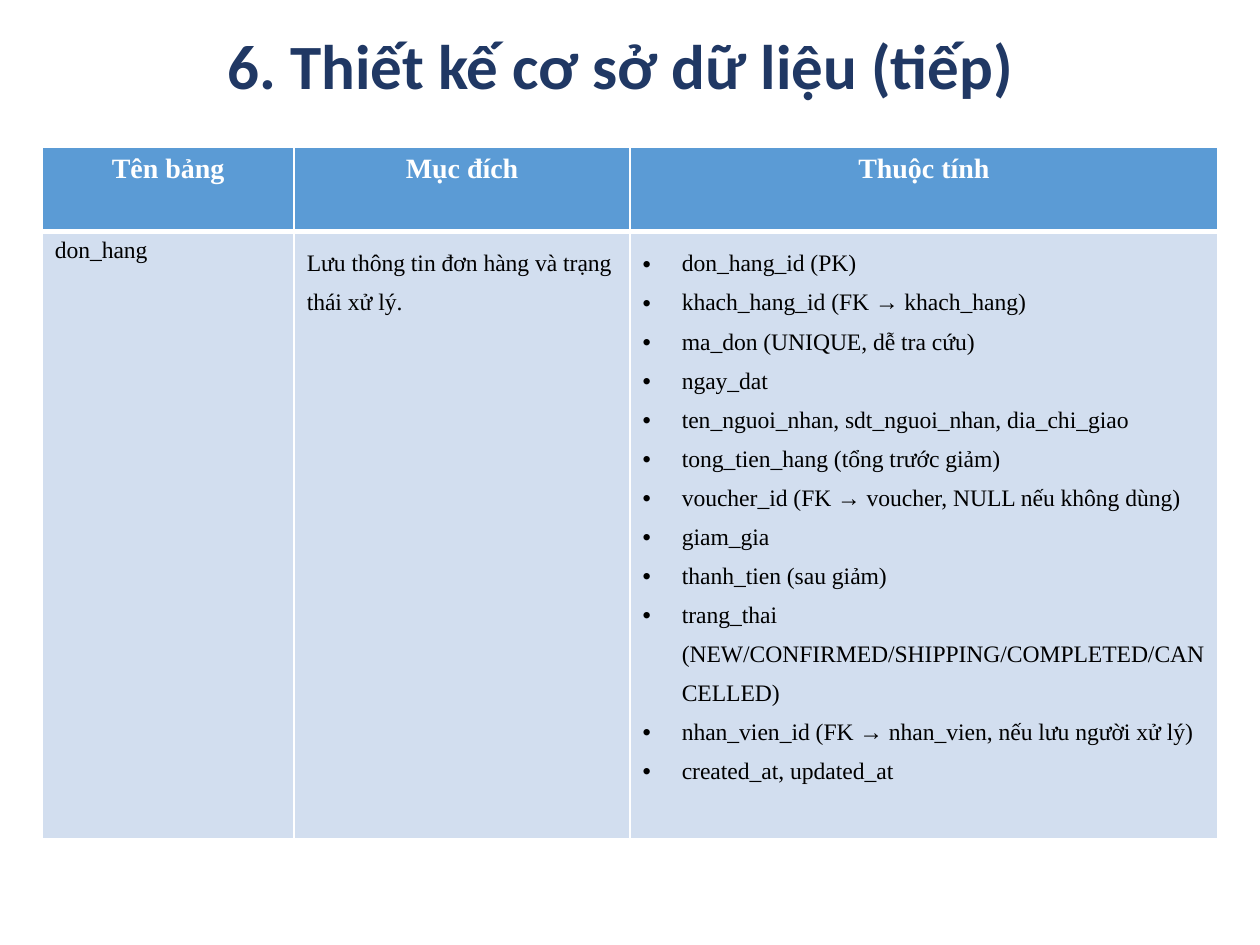
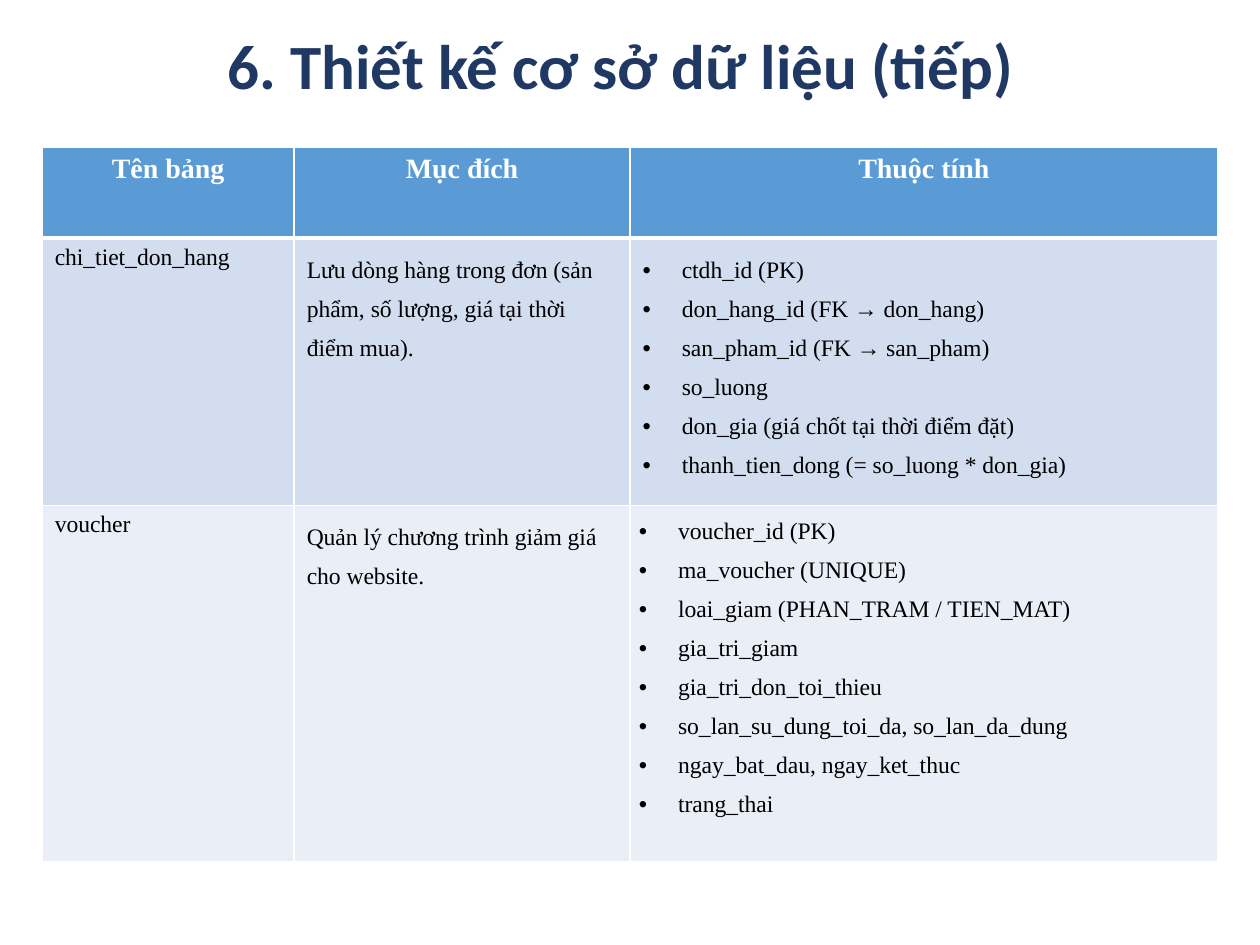
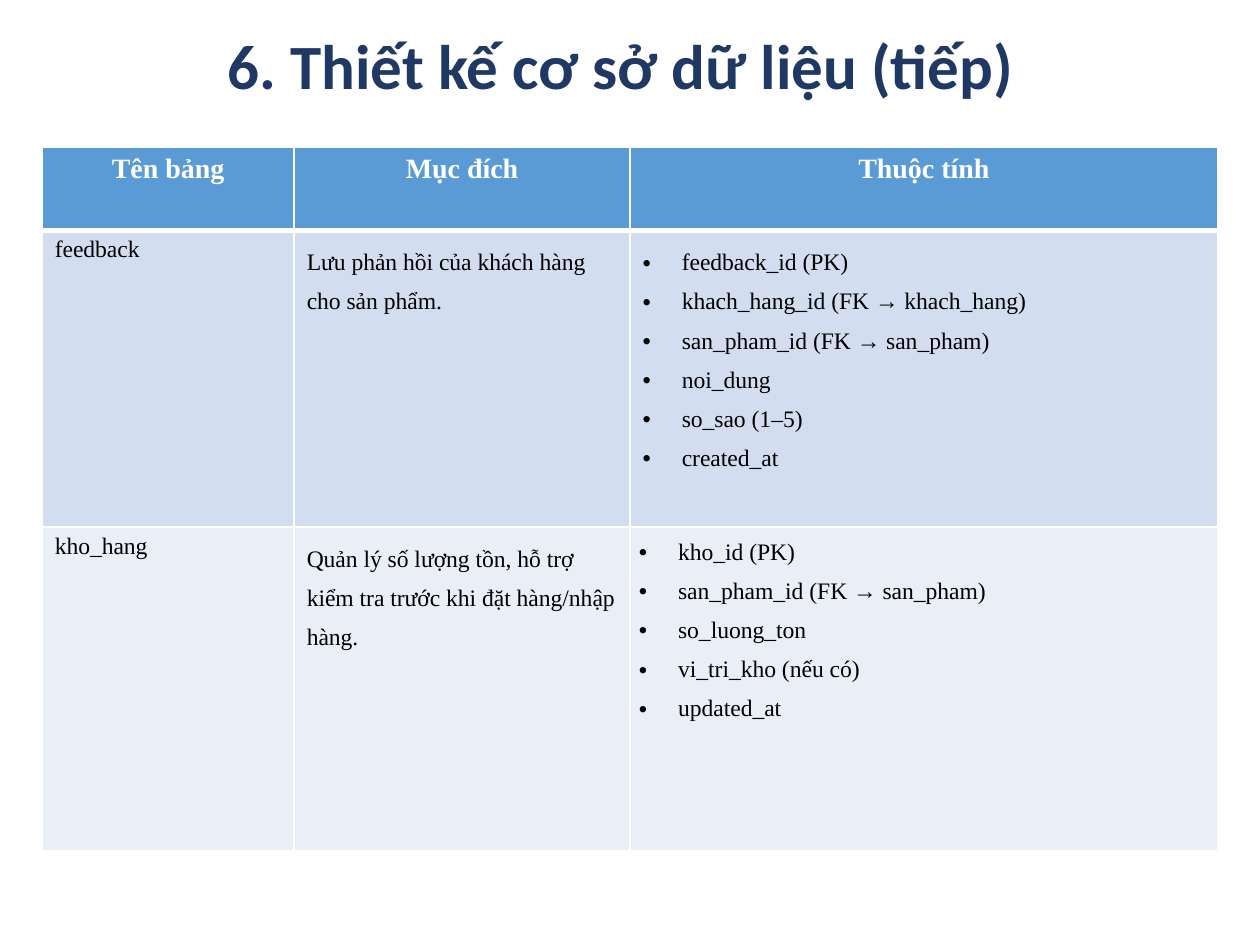
from lxml import etree
from pptx import Presentation
from pptx.dml.color import RGBColor
from pptx.enum import text as t
from pptx.oxml import ns
from pptx.util import Cm, Pt

NAVY = RGBColor(0x20, 0x38, 0x64)
BLUE = RGBColor(0x5B, 0x9B, 0xD5)
BANDS = [RGBColor(0xD2, 0xDE, 0xEF), RGBColor(0xEA, 0xEF, 0xF7)]
WHITE = RGBColor(0xFF, 0xFF, 0xFF)
BLACK = RGBColor(0, 0, 0)
SERIF = "Times New Roman"
TITLE = "6. Thiết kế cơ sở dữ liệu (tiếp)"
HEADS = ["Tên bảng", "Mục đích", "Thuộc tính"]
COLS = [5.08, 6.77, 11.85]

PAGES = [
    ([1.7, 11.48], [
        ("don_hang", "Lưu thông tin đơn hàng và trạng thái xử lý.", [
            "don_hang_id (PK)",
            "khach_hang_id (FK → khach_hang)",
            "ma_don (UNIQUE, dễ tra cứu)",
            "ngay_dat",
            "ten_nguoi_nhan, sdt_nguoi_nhan, dia_chi_giao",
            "tong_tien_hang (tổng trước giảm)",
            "voucher_id (FK → voucher, NULL nếu không dùng)",
            "giam_gia",
            "thanh_tien (sau giảm)",
            "trang_thai (NEW/CONFIRMED/SHIPPING/COMPLETED/CANCELLED)",
            "nhan_vien_id (FK → nhan_vien, nếu lưu người xử lý)",
            "created_at, updated_at",
        ]),
    ]),
    ([1.83, 5.36, 7.19], [
        ("chi_tiet_don_hang",
         "Lưu dòng hàng trong đơn (sản phẩm, số lượng, giá tại thời điểm mua).", [
             "ctdh_id (PK)",
             "don_hang_id (FK → don_hang)",
             "san_pham_id (FK → san_pham)",
             "so_luong",
             "don_gia (giá chốt tại thời điểm đặt)",
             "thanh_tien_dong (= so_luong * don_gia)",
         ]),
        ("voucher", "Quản lý chương trình giảm giá cho website.", [
            "voucher_id (PK)",
            "ma_voucher (UNIQUE)",
            "loai_giam (PHAN_TRAM / TIEN_MAT)",
            "gia_tri_giam",
            "gia_tri_don_toi_thieu",
            "so_lan_su_dung_toi_da, so_lan_da_dung",
            "ngay_bat_dau, ngay_ket_thuc",
            "trang_thai",
        ]),
    ]),
    ([1.68, 5.97, 6.53], [
        ("feedback", "Lưu phản hồi của khách hàng cho sản phẩm.", [
            "feedback_id (PK)",
            "khach_hang_id (FK → khach_hang)",
            "san_pham_id (FK → san_pham)",
            "noi_dung",
            "so_sao (1–5)",
            "created_at",
        ]),
        ("kho_hang",
         "Quản lý số lượng tồn, hỗ trợ kiểm tra trước khi đặt hàng/nhập hàng.", [
             "kho_id (PK)",
             "san_pham_id (FK → san_pham)",
             "so_luong_ton",
             "vi_tri_kho (nếu có)",
             "updated_at",
         ]),
    ]),
]


def add_run(para, words, size, color, bold=False, face=SERIF):
    run = para.add_run()
    run.text = words
    font = run.font
    font.name, font.size, font.bold = face, Pt(size), bold
    font.color.rgb = color


def add_title(slide):
    box = slide.shapes.add_textbox(Cm(4.34), Cm(0.76), Cm(16.71), Cm(1.27))
    frame = box.text_frame
    frame.word_wrap = True
    frame.vertical_anchor = t.MSO_ANCHOR.MIDDLE
    para = frame.paragraphs[0]
    para.line_spacing = 0.9
    add_run(para, TITLE, 36, NAVY, True, "Calibri")


def paint(cell, color, top=1, base=1):
    props = cell._tc.get_or_add_tcPr()
    for side, wide in zip("LRTB", (1, 1, top, base)):
        line = etree.SubElement(props, ns.qn(f"a:ln{side}"), w=str(Pt(wide)))
        fill = etree.SubElement(line, ns.qn("a:solidFill"))
        etree.SubElement(fill, ns.qn("a:srgbClr"), val=str(WHITE))
    cell.fill.solid()
    cell.fill.fore_color.rgb = color


def add_list(cell, items):
    frame = cell.text_frame
    for num, item in enumerate(items):
        para = frame.add_paragraph() if num else frame.paragraphs[0]
        para.line_spacing = 1.5
        props = para._p.get_or_add_pPr()
        props.set("marL", str(Cm(0.79)))
        props.set("indent", str(Cm(-0.79)))
        etree.SubElement(props, ns.qn("a:buFont"), typeface="Arial")
        etree.SubElement(props, ns.qn("a:buChar"), char="•")
        add_run(para, item, 13.5, BLACK)


def add_grid(slide, highs, rows):
    grid = slide.shapes.add_table(
        len(highs), len(COLS), Cm(0.85), Cm(2.97), Cm(sum(COLS)), Cm(sum(highs))).table
    for col, wide in zip(grid.columns, COLS):
        col.width = Cm(wide)
    for row, high in zip(grid.rows, highs):
        row.height = Cm(high)
    for cell, head in zip(grid.rows[0].cells, HEADS):
        paint(cell, BLUE, base=3)
        para = cell.text_frame.paragraphs[0]
        para.alignment = t.PP_ALIGN.CENTER
        add_run(para, head, 16, WHITE, True)
    for num, (name, goal, items) in enumerate(rows):
        cells = list(grid.rows[num + 1].cells)
        for cell in cells:
            paint(cell, BANDS[num % 2], top=1 if num else 3)
        add_run(cells[0].text_frame.paragraphs[0], name, 13.5, BLACK)
        para = cells[1].text_frame.paragraphs[0]
        para.line_spacing = 1.5
        add_run(para, goal, 13.5, BLACK)
        add_list(cells[2], items)
        if num:
            cells[2].margin_left = cells[2].margin_right = Cm(0.18)
            cells[2].margin_top = cells[2].margin_bottom = 0


def main():
    deck = Presentation()
    deck.slide_width, deck.slide_height = Cm(25.4), Cm(19.05)
    for highs, rows in PAGES:
        slide = deck.slides.add_slide(deck.slide_layouts[6])
        add_title(slide)
        add_grid(slide, highs, rows)
    deck.save("out.pptx")


if __name__ == "__main__":
    main()
